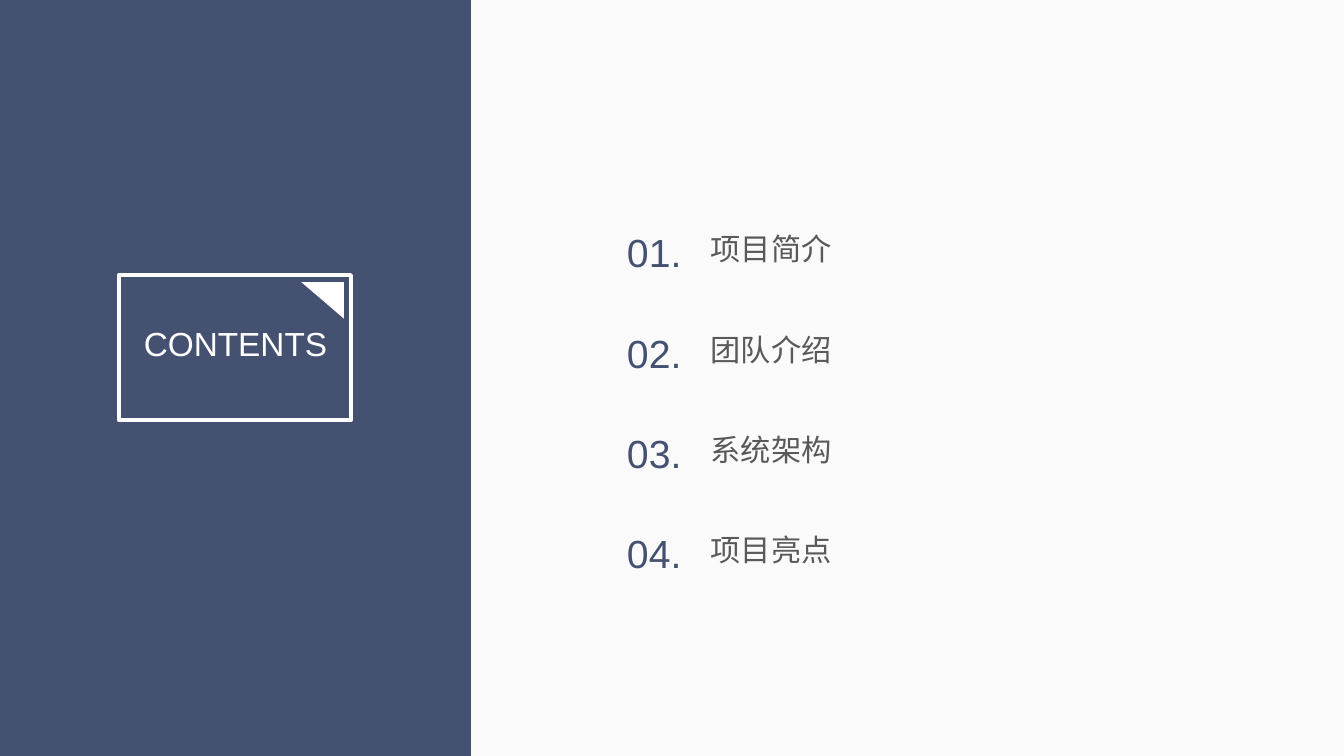
from pptx import Presentation
from pptx.dml.color import RGBColor
from pptx.enum.shapes import MSO_SHAPE as Shape
from pptx.enum.text import PP_ALIGN as Align
from pptx.util import Inches, Pt

NAVY, WHITE, GRAY, PAPER = "455171", "FFFFFF", "595959", "FAFAFA"
color = RGBColor.from_string

deck = Presentation()
deck.slide_width, deck.slide_height = Inches(13.33), Inches(7.5)
slide = deck.slides.add_slide(deck.slide_layouts[6])
slide.background.fill.solid()
slide.background.fill.fore_color.rgb = color(PAPER)


def add_shape(kind, left, top, width, height, fill=None, line=None):
    shape = slide.shapes.add_shape(
        kind, Inches(left), Inches(top), Inches(width), Inches(height))
    shape.shadow.inherit = False
    if fill:
        shape.fill.solid()
        shape.fill.fore_color.rgb = color(fill)
    else:
        shape.fill.background()
    if line:
        shape.line.color.rgb = color(line)
        shape.line.width = Pt(3)
    else:
        shape.line.fill.background()
    return shape


def add_text(text, left, top, width, height, size, ink, align=Align.LEFT):
    box = slide.shapes.add_textbox(
        Inches(left), Inches(top), Inches(width), Inches(height))
    box.text_frame.word_wrap = True
    para = box.text_frame.paragraphs[0]
    para.alignment = align
    run = para.add_run()
    run.text = text
    run.font.name = "Arial"
    run.font.size = Pt(size)
    run.font.color.rgb = color(ink)


# Title panel
add_shape(Shape.RECTANGLE, 0, 0, 4.67, 7.5, fill=NAVY)
add_shape(Shape.RECTANGLE, 1.18, 2.73, 2.3, 1.44, line=WHITE)
corner = add_shape(Shape.ISOSCELES_TRIANGLE, 2.99, 2.8, 0.42, 0.36, fill=WHITE)
corner.adjustments[0] = 0
corner.rotation = 180
add_text("CONTENTS", 1.32, 3.16, 2.03, 0.57, 23.8, WHITE, Align.CENTER)

# Numbered topics
topics = ["项目简介", "团队介绍", "系统架构", "项目亮点"]
for i, topic in enumerate(topics):
    step = i * 0.995
    add_text(f"{i + 1:02}.", 6.12, 2.22 + step, 0.75, 0.57, 28, NAVY)
    add_text(topic, 6.95, 2.24 + step, 3.23, 0.5, 21.6, GRAY)

deck.save("out.pptx")
